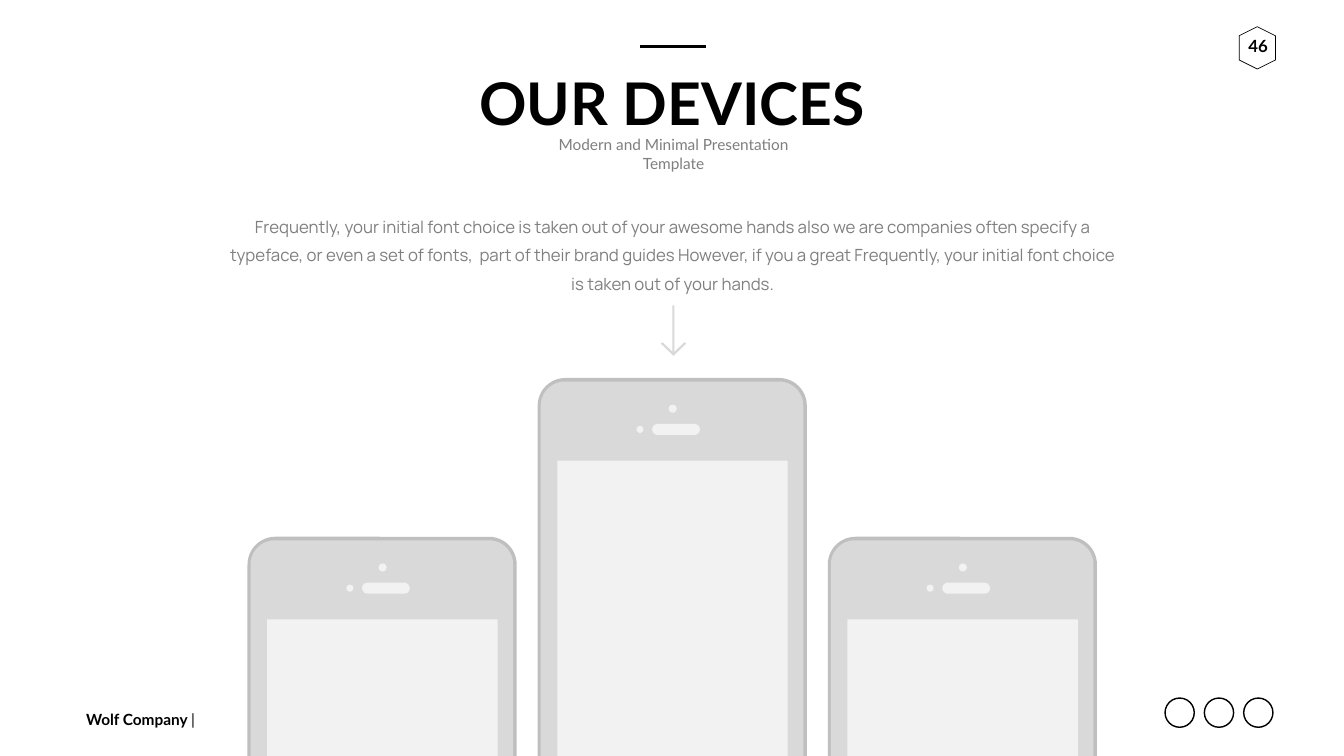
"""Build the "Our Devices" slide with three phone mock-ups."""
from lxml.etree import SubElement
from pptx import Presentation
from pptx.dml.color import RGBColor
from pptx.enum.shapes import MSO_CONNECTOR as Link, MSO_SHAPE as Kind
from pptx.enum.text import MSO_ANCHOR as Anchor, MSO_AUTO_SIZE as Fit, PP_ALIGN as Align
from pptx.oxml.ns import qn
from pptx.util import Inches, Pt

BLACK = RGBColor(0x00, 0x00, 0x00)
GREY = RGBColor(0x7F, 0x7F, 0x7F)
EDGE = RGBColor(0xBF, 0xBF, 0xBF)
BODY = RGBColor(0xD9, 0xD9, 0xD9)
PALE = RGBColor(0xF2, 0xF2, 0xF2)


def draw(host, kind, box, fill=None, line=0):
    shape = host.add_shape(kind, *map(Inches, box))
    shape.shadow.inherit = False
    if fill is None:
        shape.fill.background()
    else:
        shape.fill.solid()
        shape.fill.fore_color.rgb = fill
    if line:
        shape.line.color.rgb = BLACK
        shape.line.width = Pt(line)
    else:
        shape.line.fill.background()
    return shape


def write(shape, box, runs, size, color, align=Align.CENTER, anchor=Anchor.TOP,
          wrap=False, font="Lato"):
    shape.left, shape.top, shape.width, shape.height = map(Inches, box)
    frame = shape.text_frame
    frame.auto_size = Fit.NONE
    frame.word_wrap = wrap
    frame.vertical_anchor = anchor
    para = frame.paragraphs[0]
    para.alignment = align
    for text, bold in runs:
        run = para.add_run()
        run.text = text
        run.font.name = font
        run.font.size = Pt(size)
        run.font.bold = bold
        run.font.color.rgb = color
    return frame


deck = Presentation()
deck.slide_width, deck.slide_height = Inches(26.66), Inches(15)
slide = deck.slides.add_slide(deck.slide_layouts[5])
shapes = slide.shapes

write(shapes.add_textbox(0, 0, 0, 0), (1.61, 14.03, 2.4, 0.47),
      [("Wolf Company ", True), ("|", False)], 22, BLACK, Align.LEFT, Anchor.MIDDLE)

badge = draw(shapes, Kind.HEXAGON, (24.52, 0.59, 0.84, 0.72), line=1)
badge.rotation = 90
write(shapes.add_textbox(0, 0, 0, 0), (24.48, 0.65, 0.95, 0.61),
      [("46", True)], 24, BLACK)

for col in range(3):
    draw(shapes, Kind.OVAL, (23.11 + 0.78 * col, 13.85, 0.58, 0.58), line=2)

PARTS = [
    (Kind.ROUNDED_RECTANGLE, 0, 0, 5.34, 11.09, EDGE, 0.55),
    (Kind.ROUNDED_RECTANGLE, 0.06, 0.07, 5.21, 10.96, BODY, 0.48),
    (Kind.OVAL, 2.6, 0.53, 0.16, 0.16, PALE, 0),
    (Kind.RECTANGLE, 0.39, 1.64, 4.57, 8.02, PALE, 0),
    (Kind.ROUNDED_RECTANGLE, 2.27, 0.91, 0.95, 0.22, PALE, 0.11),
    (Kind.OVAL, 1.96, 0.95, 0.14, 0.14, PALE, 0),
]
for col, top in enumerate((10.65, 7.5, 10.65)):
    left = 4.91 + 5.755 * col
    phone = shapes.add_group_shape()
    for kind, x, y, wide, high, fill, curve in PARTS:
        part = draw(phone.shapes, kind, (left + x, top + y, wide, high), fill)
        if curve:
            part.adjustments[0] = curve / min(wide, high)

write(shapes.title, (9.39, 1.28, 7.88, 1.51), [("OUR DEVICES", True)], 84, BLACK)
write(shapes.add_textbox(0, 0, 0, 0), (10.38, 2.82, 5.96, 0.47),
      [("Modern and Minimal Presentation Template", False)], 22, GREY,
      anchor=Anchor.MIDDLE, wrap=True)

rule = shapes.add_connector(Link.STRAIGHT, Inches(12.7), Inches(0.92),
                            Inches(14), Inches(0.92))
rule.line.color.rgb = BLACK
rule.line.width = Pt(4.5)
SubElement(rule._element.spPr, qn("a:effectLst"))

intro = write(
    shapes.add_textbox(0, 0, 0, 0), (4.32, 4.02, 18.04, 1.92),
    [("Frequently, your initial font choice is taken out of your awesome hands also "
      "we are companies often specify a typeface, or even a set of fonts,  part of "
      "their brand guides However, if you a great Frequently, your initial font "
      "choice is taken out of your hands.", False)],
    24, GREY, wrap=True, font="Manrope")
intro.margin_left = intro.margin_right = Inches(0.24)
intro.margin_top = intro.margin_bottom = Inches(0.12)
intro.paragraphs[0].line_spacing = Pt(40.4)

HALF = [(0.02, 6.06), (0.02, 6.98), (0.22, 6.79), (0.25, 6.82), (0, 7.06)]
turn = HALF + [(-x, y) for x, y in HALF[-2::-1]]
dots = [(Inches(13.36 + x), Inches(y)) for x, y in turn]
pen = shapes.build_freeform(*dots[0])
pen.add_line_segments(dots[1:], close=True)
arrow = pen.convert_to_shape()
arrow.shadow.inherit = False
arrow.fill.solid()
arrow.fill.fore_color.rgb = BODY
arrow.line.fill.background()

deck.save("out.pptx")
